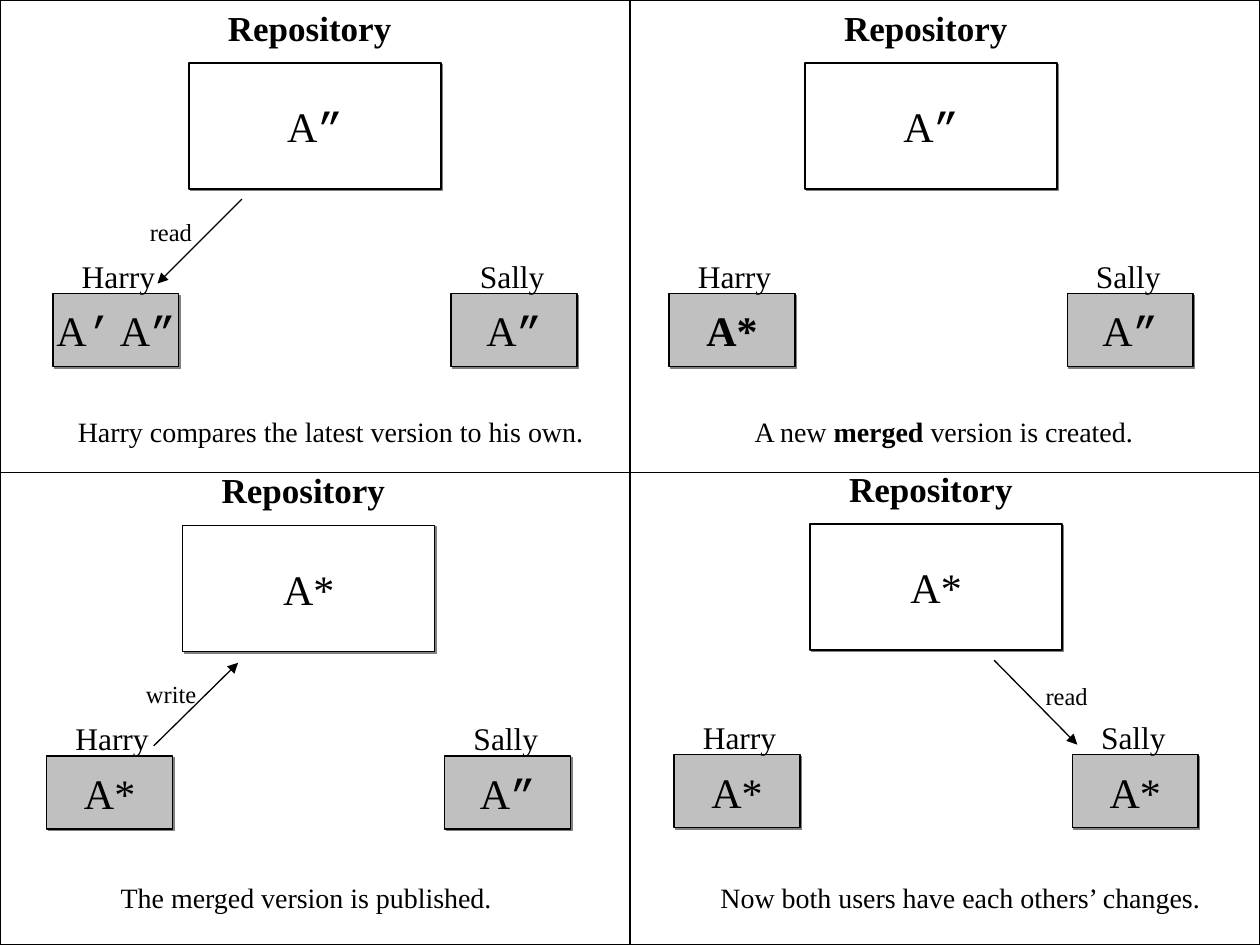
from itertools import groupby

from lxml.etree import SubElement as Sub
from pptx import Presentation
from pptx.dml.color import RGBColor as RGB
from pptx.enum.shapes import MSO_CONNECTOR as Conn, MSO_SHAPE as Form
from pptx.enum.text import MSO_ANCHOR as Anchor, MSO_AUTO_SIZE as Fit, PP_ALIGN as Align
from pptx.oxml.ns import qn
from pptx.util import Inches, Pt

INK = {"line": "000000", "store": "FFFFFF", "user": "C0C0C0", "shade": "808080"}


def write(frame, text, size=16, bold=False, mono="", align=Align.LEFT, wrap=False):
    frame.word_wrap = wrap
    para = frame.paragraphs[0]
    para.alignment = align
    for i, part in enumerate(text.split("_")):
        for quote, chars in groupby(part, lambda c: c in mono):
            run = para.add_run()
            run.text = "".join(chars)
            font = run.font
            font.name = "Courier New" if quote else "Times New Roman"
            font.size = Pt(size)
            font.bold = bold or i % 2 == 1
            font.color.rgb = RGB.from_string(INK["line"])


class Board:
    def __init__(self, slide):
        self.shapes = slide.shapes
        self.width = Pt(0.75)

    def stroke(self, item):
        item.line.color.rgb = RGB.from_string(INK["line"])
        item.line.width = self.width

    def rect(self, x, y, w, h):
        box = self.shapes.add_shape(Form.RECTANGLE, *map(Inches, (x, y, w, h)))
        box.shadow.inherit = False
        box.fill.background()
        self.stroke(box)
        return box

    def card(self, x, y, w, h, text, kind):
        box = self.rect(x, y, w, h)
        box.fill.solid()
        box.fill.fore_color.rgb = RGB.from_string(INK[kind])
        effects = box._element.spPr.find(qn("a:effectLst"))
        shade = Sub(effects, qn("a:outerShdw"), dist=str(Pt(1.4)), dir="2700000",
                    algn="ctr", rotWithShape="0")
        Sub(shade, qn("a:srgbClr"), val=INK["shade"])
        box.text_frame.vertical_anchor = Anchor.MIDDLE
        write(box.text_frame, text, size=24, mono="’”", align=Align.CENTER)

    def label(self, x, y, w, h, text, **style):
        box = self.shapes.add_textbox(*map(Inches, (x, y, w, h)))
        box.text_frame.auto_size = Fit.SHAPE_TO_FIT_TEXT
        write(box.text_frame, text, **style)

    def arrow(self, start, end):
        line = self.shapes.add_connector(Conn.STRAIGHT, *map(Inches, start + end))
        self.stroke(line)
        Sub(line.line._get_or_add_ln(), qn("a:tailEnd"), type="triangle")
        Sub(line._element.spPr, qn("a:effectLst"))

    def scene(self, x, y, store, harry, sally):
        self.card(x, y, 2, 1, store, "store")
        self.label(x + 0.21, y - 0.5, 1.58, 0.44, "Repository",
                   size=20, bold=True, wrap=True)
        for name, text, dx in (("Harry", harry, -1.08), ("Sally", sally, 2.08)):
            self.card(x + dx, y + 1.83, 1, 0.58, text, "user")
            self.label(x + dx + 0.13, y + 1.49, 1, 0.4, name, size=18, wrap=True)


SCENES = [
    (1.5, 0.5, "A”", "A’ A”", "A”"),
    (6.39, 0.5, "A”", "_A*_", "A”"),
    (1.45, 4.17, "A*", "A*", "A”"),
    (6.43, 4.16, "A*", "A*", "A*"),
]
NOTES = [
    (0.52, 3.24, 4.26, "Harry compares the latest version to his own."),
    (5.89, 3.24, 3.26, "A new _merged_ version is created."),
    (0.86, 6.94, 3.2, "The merged version is published."),
    (5.62, 6.94, 4.07, "Now both users have each others’ changes."),
]
MOVES = [
    ((1.92, 1.58), (1.25, 2.25), (1.09, 1.67, 0.58), "read"),
    ((1.22, 5.92), (1.89, 5.26), (1.06, 5.34, 0.65), "write"),
    ((7.89, 5.24), (8.55, 5.91), (8.2, 5.36, 0.58), "read"),
]


def main():
    deck = Presentation()
    deck.slide_width, deck.slide_height = Inches(10), Inches(7.5)
    board = Board(deck.slides.add_slide(deck.slide_layouts[6]))
    for i in range(4):
        board.rect(i % 2 * 5, i // 2 * 3.75, 5, 3.75)
    for scene in SCENES:
        board.scene(*scene)
    for x, y, w, text in NOTES:
        board.label(x, y, w, 0.37, text)
    for start, end, spot, text in MOVES:
        board.arrow(start, end)
        board.label(*spot, 0.34, text, size=14)
    deck.save("out.pptx")


if __name__ == "__main__":
    main()
